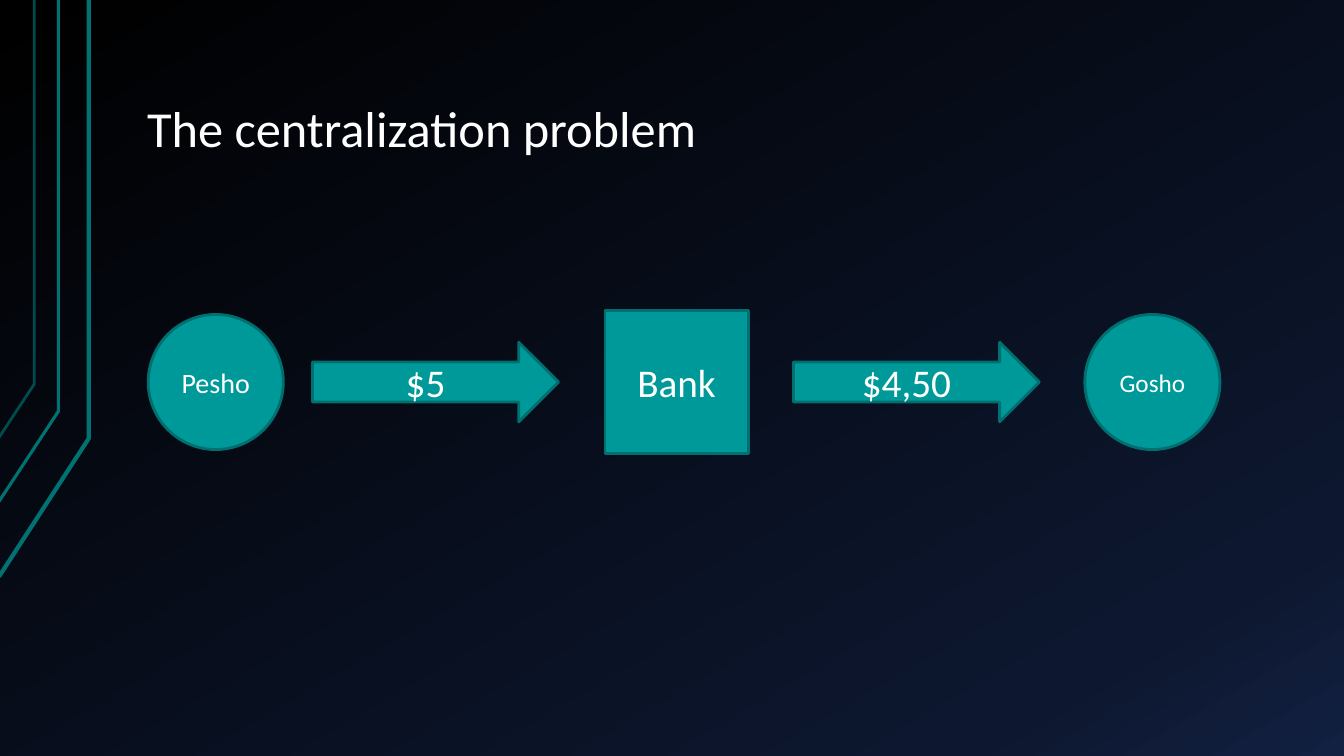
from lxml import etree
from pptx import Presentation
from pptx.dml.color import RGBColor
from pptx.enum.shapes import MSO_SHAPE as Preset
from pptx.enum.text import MSO_ANCHOR as Anchor, PP_ALIGN as Align
from pptx.oxml.ns import qn
from pptx.util import Inches, Pt

FONT = "Calibri"
WHITE, TEAL, TEAL_EDGE = "FFFFFF", "009999", "006F6F"
GRADIENT = [(0, "000000"), (85, "0D172F"), (100, "122041")]


def color(value):
    return RGBColor.from_string(value)


def add_run(paragraph, text, size):
    run = paragraph.add_run()
    run.text = text
    run.font.name = FONT
    run.font.size = Pt(size)
    run.font.color.rgb = color(WHITE)


def set_line(shape, line_color, width):
    shape.shadow.inherit = False
    shape.line.color.rgb = color(line_color)
    shape.line.width = Pt(width)


def paint_background(slide):
    fill = slide.background.fill
    fill.gradient()
    fill.gradient_angle = 300
    # Replace the two default stops with three
    stops = next(slide.element.iter(qn("a:gsLst")))
    for stop in list(stops):
        stops.remove(stop)
    for percent, value in GRADIENT:
        stop = etree.SubElement(stops, qn("a:gs"), pos=str(percent * 1000))
        etree.SubElement(stop, qn("a:srgbClr"), val=value)


def add_circuit_lines(slide, left, top):
    # Each trace: foot x, foot y, bend x, bend y, colour, width
    traces = [
        (-0.01, 5.72, 0.88, 4.35, "007272", 3),
        (-0.02, 4.99, 0.58, 4.08, "007272", 2.25),
        (-0.01, 4.34, 0.34, 3.81, "004C4C", 2),
    ]
    for foot_x, foot_y, bend_x, bend_y, line_color, width in traces:
        points = [(Inches(left + x), Inches(top + y))
                  for x, y in ((foot_x, foot_y), (bend_x, bend_y), (bend_x, 0))]
        builder = slide.shapes.build_freeform(*points[0])
        builder.add_line_segments(points[1:], close=False)
        trace = builder.convert_to_shape()
        trace.fill.background()
        set_line(trace, line_color, width)


def add_title(slide, left, top, width, height, text):
    box = slide.shapes.add_textbox(Inches(left), Inches(top), Inches(width), Inches(height))
    frame = box.text_frame
    frame.word_wrap = True
    frame.vertical_anchor = Anchor.BOTTOM
    frame.margin_left = frame.margin_right = Inches(0.13)
    frame.margin_top = frame.margin_bottom = Inches(0.07)
    paragraph = frame.paragraphs[0]
    paragraph.line_spacing = 0.9
    add_run(paragraph, text, 36)


def add_payment_flow(slide, left, top, height):
    # Each part: preset, offset from the left, width, height, label, text size
    parts = [
        (Preset.OVAL, 0, 1.34, 1.34, "Pesho", 20),
        (Preset.RECTANGLE, 4.53, 1.42, 1.42, "Bank", 28),
        (Preset.OVAL, 9.29, 1.34, 1.34, "Gosho", 18),
        (Preset.RIGHT_ARROW, 1.63, 2.44, 0.79, "$5", 28),
        (Preset.RIGHT_ARROW, 6.4, 2.44, 0.79, "$4,50", 28),
    ]
    for preset, offset, part_width, part_height, label, size in parts:
        shape = slide.shapes.add_shape(
            preset, Inches(left + offset), Inches(top + (height - part_height) / 2),
            Inches(part_width), Inches(part_height))
        shape.fill.solid()
        shape.fill.fore_color.rgb = color(TEAL)
        set_line(shape, TEAL_EDGE, 2)
        frame = shape.text_frame
        frame.word_wrap = True
        frame.vertical_anchor = Anchor.MIDDLE
        paragraph = frame.paragraphs[0]
        paragraph.alignment = Align.CENTER
        add_run(paragraph, label, size)


def main():
    presentation = Presentation()
    presentation.slide_width = Inches(13.33)
    presentation.slide_height = Inches(7.5)
    slide = presentation.slides.add_slide(presentation.slide_layouts[6])
    paint_background(slide)
    add_circuit_lines(slide, 0, 0)
    add_title(slide, 1.33, 0.3, 11.33, 1.34, "The centralization problem")
    add_payment_flow(slide, 1.47, 3.08, 1.42)
    presentation.save("out.pptx")


if __name__ == "__main__":
    main()
